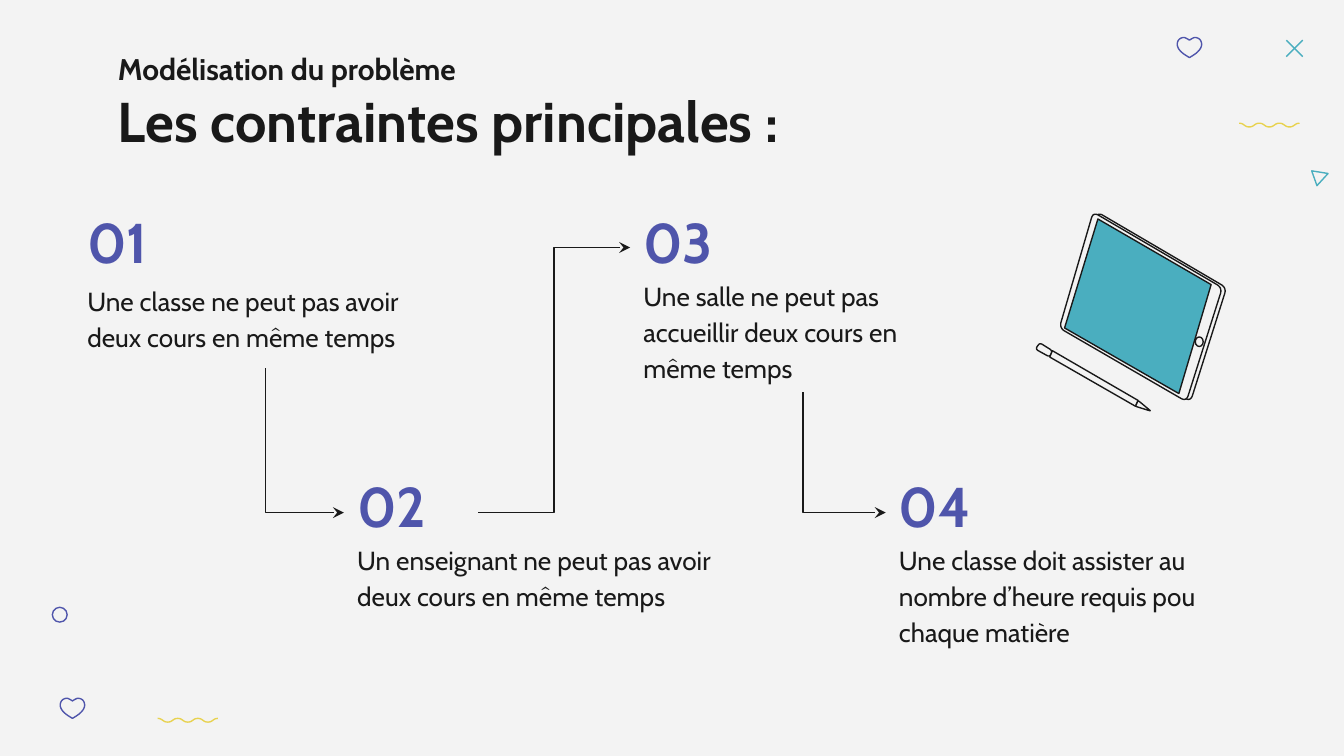
from dataclasses import dataclass
from typing import NamedTuple

from lxml.etree import SubElement
from pptx import Presentation
from pptx.dml.color import RGBColor
from pptx.enum.shapes import MSO_CONNECTOR, MSO_SHAPE
from pptx.enum.text import MSO_ANCHOR
from pptx.oxml.ns import qn
from pptx.util import Cm, Pt


@dataclass(frozen=True)
class Theme:
    """Colours, font and sizes of the slide."""
    paper: str = "F3F3F3"
    ink: str = "191919"
    blue: str = "4F55AB"
    teal: str = "4AAEBF"
    gold: str = "E8D24F"
    font: str = "Cabin"
    small: float = 14
    lead: float = 16
    large: float = 30
    stroke: float = 0.75


class Dot(NamedTuple):
    """A point in centimetres."""
    x: float
    y: float


class Step(NamedTuple):
    """One numbered rule."""
    label: str
    text: str
    x: float
    y: float
    width: float = 7.24
    gap: float = 1.02


class Panel(NamedTuple):
    """One outlined part of the tablet or pen."""
    dots: list[Dot]
    bend: float
    fill: str


THEME = Theme()
STEPS = [
    Step("01", "Une classe ne peut pas avoir deux cours en même temps", 1.4, 3.94, gap=1.12),
    Step("02", "Un enseignant ne peut pas avoir deux cours en même temps", 6.5, 8.94),
    Step("03", "Une salle ne peut pas accueillir deux cours en même temps", 11.91, 3.94, 5.84),
    Step("04", "Une classe doit assister au nombre d’heure requis pou chaque matière", 16.74, 8.94),
]
BODY = [Dot(20.66, 4.01), Dot(23.1, 5.44), Dot(22.42, 7.59), Dot(20.02, 6.2)]
SCREEN = [Dot(20.75, 4.14), Dot(22.89, 5.38), Dot(22.28, 7.44), Dot(20.12, 6.2)]
CAP = [Dot(19.65, 6.48), Dot(19.89, 6.63), Dot(19.84, 6.75), Dot(19.57, 6.6)]
SHAFT = [Dot(19.89, 6.63), Dot(21.51, 7.57), Dot(21.46, 7.68), Dot(19.84, 6.75)]
TIP = [Dot(21.51, 7.57), Dot(21.75, 7.77), Dot(21.46, 7.68)]
PANELS = [
    Panel([Dot(d.x + 0.08, d.y) for d in BODY], 0.12, THEME.paper),
    Panel(BODY, 0.12, THEME.paper),
    Panel(SCREEN, 0, THEME.teal),
    Panel(CAP, 0.06, THEME.paper),
    Panel(SHAFT, 0, THEME.paper),
    Panel(TIP, 0.03, THEME.paper),
]


def tint(code: str) -> RGBColor:
    """Turn a hex code into a colour."""
    return RGBColor.from_string(code)


def curve(a: Dot, b: Dot, c: Dot, d: Dot, parts: int = 10) -> list[Dot]:
    """Sample a cubic curve."""
    spots = []
    for i in range(parts + 1):
        t = i / parts
        s = 1 - t
        mix = (s**3, 3 * s * s * t, 3 * s * t * t, t**3)
        spots.append(Dot(sum(m * p.x for m, p in zip(mix, (a, b, c, d))),
                         sum(m * p.y for m, p in zip(mix, (a, b, c, d)))))
    return spots


def toward(a: Dot, b: Dot, size: float) -> Dot:
    """Move from one point toward another by a length."""
    span = ((b.x - a.x) ** 2 + (b.y - a.y) ** 2) ** 0.5
    return Dot(a.x + (b.x - a.x) * size / span, a.y + (b.y - a.y) * size / span)


def soften(dots: list[Dot], bend: float) -> list[Dot]:
    """Round the corners of an outline."""
    if not bend:
        return dots
    spots = []
    for i, dot in enumerate(dots):
        start = toward(dot, dots[i - 1], bend)
        end = toward(dot, dots[(i + 1) % len(dots)], bend)
        spots += curve(start, toward(dot, start, bend / 3), toward(dot, end, bend / 3), end)
    return spots


def paint(shape, line: str, fill: str | None = None) -> None:
    """Set the fill and line of a shape."""
    shape.shadow.inherit = False
    if fill:
        shape.fill.solid()
        shape.fill.fore_color.rgb = tint(fill)
    else:
        shape.fill.background()
    shape.line.color.rgb = tint(line)
    shape.line.width = Pt(THEME.stroke)


def trace(slide, dots: list[Dot], line: str, fill: str | None = None, close: bool = True) -> None:
    """Draw an outline through points."""
    spots = [(d.x * 1000, d.y * 1000) for d in dots]
    pen = slide.shapes.build_freeform(*spots[0], scale=Cm(0.001))
    pen.add_line_segments(spots[1:], close=close)
    paint(pen.convert_to_shape(), line, fill)


def ring(slide, x: float, y: float, w: float, h: float, line: str, fill: str | None = None) -> None:
    """Draw an oval."""
    paint(slide.shapes.add_shape(MSO_SHAPE.OVAL, Cm(x), Cm(y), Cm(w), Cm(h)), line, fill)


def heart(slide, x: float, y: float) -> None:
    """Draw a heart outline."""
    half = [Dot(0.23, 0.38)]
    half += curve(Dot(0.15, 0.33), Dot(0, 0.23), Dot(0, 0.15), Dot(0, 0.13))
    half += curve(Dot(0, 0.13), Dot(0, 0.05), Dot(0.05, 0), Dot(0.13, 0))
    half += curve(Dot(0.13, 0), Dot(0.15, 0), Dot(0.2, 0.03), Dot(0.23, 0.05))
    whole = half + [Dot(0.46 - d.x, d.y) for d in reversed(half)]
    trace(slide, [Dot(x + d.x, y + d.y) for d in whole], THEME.blue)


def wave(slide, x: float, y: float, pace: float = 0.19, rise: float = 0.07) -> None:
    """Draw a wavy line."""
    spots = []
    for i in range(6):
        left, top, low = x + i * pace, y + i % 2 * rise, y + (i + 1) % 2 * rise
        mid = left + pace / 2
        spots += curve(Dot(left, top), Dot(mid, top), Dot(mid, low), Dot(left + pace, low))
    trace(slide, spots, THEME.gold, close=False)


def link(slide, kind, a: Dot, b: Dot, color: str, arrow: bool = False):
    """Draw a connector between two points."""
    wire = slide.shapes.add_connector(kind, Cm(a.x), Cm(a.y), Cm(b.x), Cm(b.y))
    wire.line.color.rgb = tint(color)
    wire.line.width = Pt(THEME.stroke)
    props = wire._element.spPr
    if arrow:
        SubElement(props.find(qn("a:ln")), qn("a:tailEnd"), type="stealth")
    SubElement(props, qn("a:effectLst"))
    return wire


def drop(slide, a: Dot, b: Dot) -> None:
    """Draw an arrow that goes down and then right."""
    mid = Dot((a.x + b.x) / 2, (a.y + b.y) / 2)
    wide, high = (b.y - a.y) / 2, (b.x - a.x) / 2
    wire = link(slide, MSO_CONNECTOR.ELBOW, Dot(mid.x - wide, mid.y - high),
                Dot(mid.x + wide, mid.y + high), THEME.ink, True)
    props = wire._element.spPr
    props.find(qn("a:prstGeom")).set("prst", "bentConnector2")
    frame = props.find(qn("a:xfrm"))
    frame.set("rot", str(270 * 60000))
    frame.set("flipH", "1")


def box(slide, x: float, y: float, w: float, h: float, anchor=MSO_ANCHOR.TOP):
    """Add a text box and return its first paragraph."""
    frame = slide.shapes.add_textbox(Cm(x), Cm(y), Cm(w), Cm(h)).text_frame
    frame.word_wrap = True
    frame.vertical_anchor = anchor
    frame.margin_left = frame.margin_right = frame.margin_top = frame.margin_bottom = Cm(0.25)
    return frame.paragraphs[0]


def write(para, text: str, size: float, color: str, bold: bool = False) -> None:
    """Add a run."""
    run = para.add_run()
    run.text = text
    run.font.name, run.font.size, run.font.bold = THEME.font, Pt(size), bold
    run.font.color.rgb = tint(color)


def main() -> None:
    """Build and save the slide."""
    deck = Presentation()
    deck.slide_width, deck.slide_height = Cm(25.4), Cm(14.29)
    slide = deck.slides.add_slide(deck.slide_layouts[6])
    slide.background.fill.solid()
    slide.background.fill.fore_color.rgb = tint(THEME.paper)

    ring(slide, 0.99, 11.48, 0.28, 0.28, THEME.blue)
    for x, y in ((1.14, 13.2), (22.25, 0.71)):
        heart(slide, x, y)
    for x, y in ((2.98, 13.58), (23.42, 2.33)):
        wave(slide, x, y)
    for top, low in ((0.76, 1.07), (1.07, 0.76)):
        link(slide, MSO_CONNECTOR.STRAIGHT, Dot(24.31, top), Dot(24.62, low), THEME.teal)
    trace(slide, [Dot(24.79, 3.23), Dot(24.89, 3.51), Dot(25.1, 3.28)], THEME.teal)

    for step in STEPS:
        para = box(slide, step.x, step.y + step.gap, step.width, 2.49)
        para.line_spacing = 1.15
        write(para, step.text, THEME.small, THEME.ink)
        para = box(slide, step.x, step.y, 2.54, 1.5, MSO_ANCHOR.BOTTOM)
        write(para, step.label, THEME.large, THEME.blue, True)

    drop(slide, Dot(5.02, 6.96), Dot(6.5, 9.69))
    link(slide, MSO_CONNECTOR.ELBOW, Dot(9.04, 9.69), Dot(11.91, 4.68), THEME.ink, True)
    drop(slide, Dot(15.18, 7.42), Dot(16.74, 9.69))

    for panel in PANELS:
        trace(slide, soften(panel.dots, panel.bend), THEME.ink, panel.fill)
    ring(slide, 22.59, 6.37, 0.15, 0.18, THEME.ink, THEME.paper)

    para = box(slide, 1.98, 0.71, 21.41, 2.36)
    write(para, "Modélisation du problème", THEME.lead, THEME.ink, True)
    para.add_line_break()
    SubElement(para._p[-1], qn("a:rPr"), sz=str(THEME.lead * 100))
    write(para, "Les contraintes principales :", THEME.large, THEME.ink, True)
    deck.save("out.pptx")


if __name__ == "__main__":
    main()
